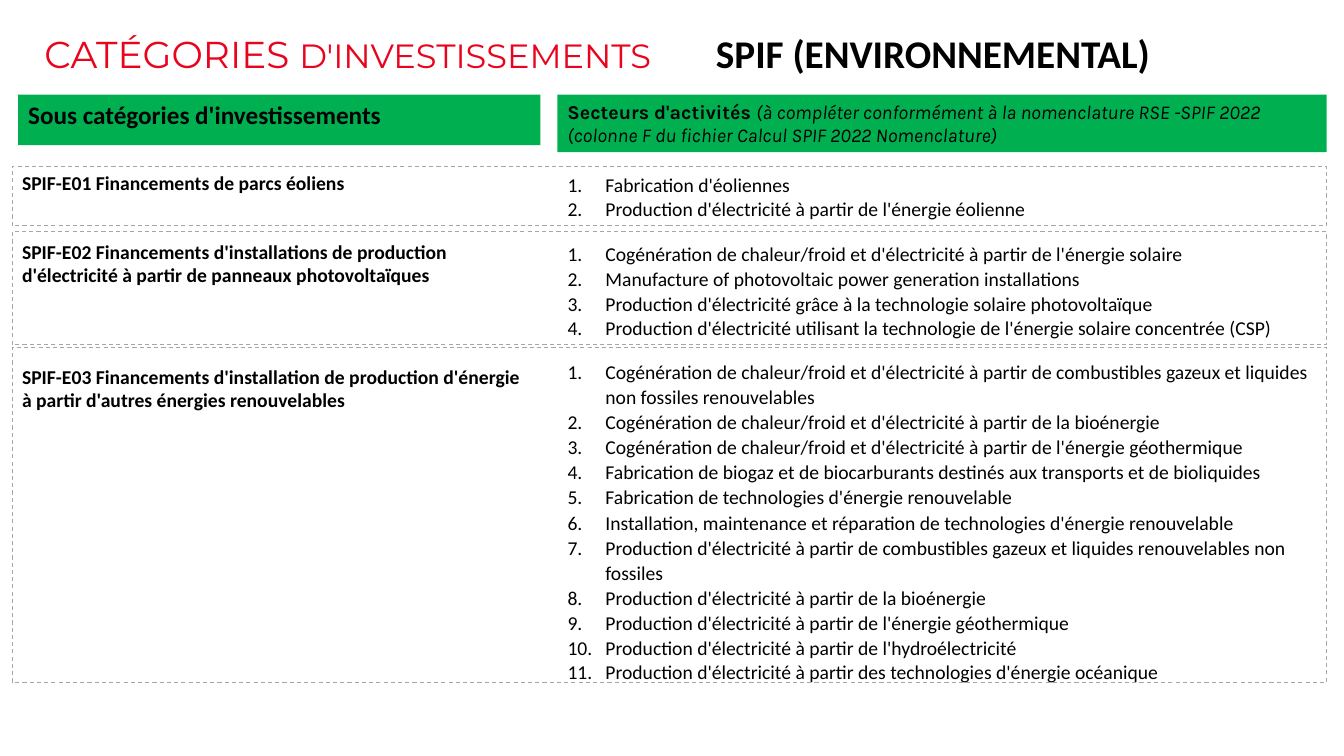
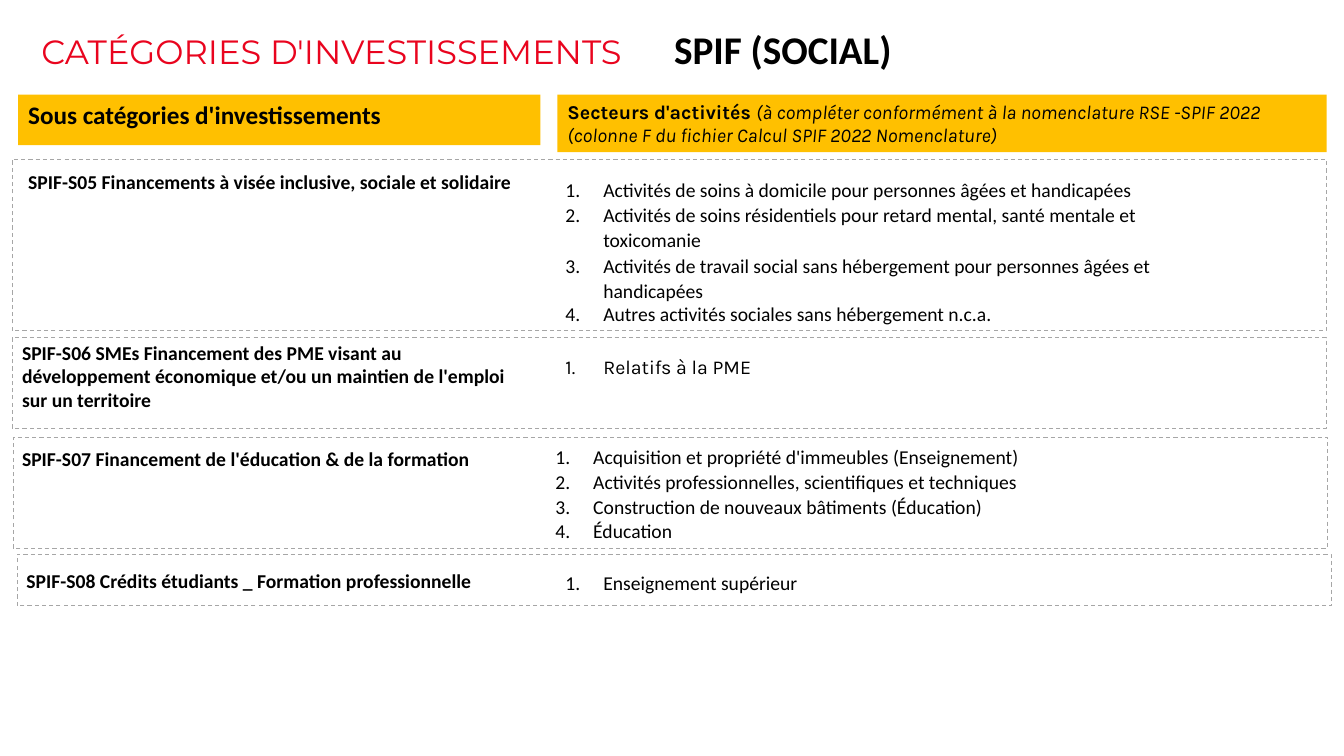
"""Build two slides listing SPIF investment categories with their sectors of activity."""
from dataclasses import dataclass

from lxml import etree
from pptx import Presentation
from pptx.dml.color import RGBColor
from pptx.enum import dml, shapes, text
from pptx.oxml import ns
from pptx.util import Pt


@dataclass(frozen=True)
class Theme:
    red: str = "E9041E"
    green: str = "00B050"
    amber: str = "FFC000"
    ink: str = "010101"
    black: str = "000000"
    rule: str = "A6A6A6"
    body_font: str = "Calibri"
    band_font: str = "Karla"
    title_font: str = "Montserrat"
    body: float = 14
    band: float = 18
    title: float = 24
    title_large: float = 26.7
    topic: float = 28
    indent: float = 27
    loose: float = 1.07


THEME = Theme()


def add_span(para, content, *, size=THEME.body, font=THEME.body_font,
             color=THEME.black, bold=False, italic=False):
    span = para.add_run()
    span.text = content
    span.font.size = Pt(size)
    span.font.name = font
    span.font.color.rgb = RGBColor.from_string(color)
    span.font.bold = bold
    span.font.italic = italic


def add_property(para, tag, **attributes):
    properties = para._p.get_or_add_pPr()
    return etree.SubElement(properties, ns.qn(tag), attributes)


class Page:
    left, width = 8.64, 939
    label_width = 373
    list_left, list_width = 398.2, 549.4

    def __init__(self, deck, accent):
        self.slide = deck.slides.add_slide(deck.slide_layouts.get_by_name("Comparison"))
        self.accent = accent
        self.bodies = [box for box in self.slide.placeholders
                       if box.placeholder_format.idx > 0]

    def place(self, box, left, top, width, height, anchor=text.MSO_ANCHOR.TOP):
        box.left, box.top, box.width, box.height = map(Pt, (left, top, width, height))
        frame = box.text_frame
        frame.word_wrap = True
        frame.auto_size = text.MSO_AUTO_SIZE.NONE
        frame.vertical_anchor = anchor
        return frame

    def title(self, left, top, parts, topic, tab):
        frame = self.place(self.slide.shapes.title, left, top, 897, 26.6,
                           text.MSO_ANCHOR.BOTTOM)
        frame.margin_left = frame.margin_right = 0
        frame.margin_top = frame.margin_bottom = 0
        para = frame.paragraphs[0]
        para.alignment = text.PP_ALIGN.LEFT
        para.line_spacing = 0.75
        stops = add_property(para, "a:tabLst")
        etree.SubElement(stops, ns.qn("a:tab"), pos=str(Pt(tab)), algn="l")
        for content, size in parts:
            add_span(para, content, size=size, font=THEME.title_font, color=THEME.red)
        add_span(para, "\t" + topic, size=THEME.topic, bold=True)

    def rectangle(self, left, top, width, height):
        box = self.slide.shapes.add_shape(
            shapes.MSO_SHAPE.RECTANGLE, *map(Pt, (left, top, width, height)))
        box.shadow.inherit = False
        return box

    def band(self, left, width, height):
        top = 67.7
        box = self.rectangle(left, top, width, height)
        box.fill.solid()
        box.fill.fore_color.rgb = RGBColor.from_string(self.accent)
        box.line.fill.background()
        para = self.place(box, left, top, width, height).paragraphs[0]
        para.alignment = text.PP_ALIGN.LEFT
        return para

    def header(self):
        add_span(self.band(13, self.label_width, 36), "Sous catégories d'investissements",
                 size=THEME.band, color=THEME.ink, bold=True)
        para = self.band(self.list_left, self.list_width, 41)
        add_span(para, "Secteurs d'activités ", font=THEME.band_font,
                 color=THEME.ink, bold=True)
        add_span(para, "(à compléter conformément à la nomenclature RSE -SPIF 2022 "
                 "(colonne F du fichier Calcul SPIF 2022 Nomenclature)",
                 font=THEME.band_font, color=THEME.ink, italic=True)

    def frame(self, left, top, height):
        box = self.rectangle(left, top, self.width, height)
        box.fill.background()
        box.line.color.rgb = RGBColor.from_string(THEME.rule)
        box.line.width = Pt(0.75)
        box.line.dash_style = dml.MSO_LINE.DASH

    def label(self, left, top, height, content):
        box = self.slide.shapes.add_textbox(0, 0, 0, 0)
        frame = self.place(box, left, top, self.label_width, height)
        add_span(frame.paragraphs[0], content, bold=True)

    def numbered_list(self, left, top, width, height, items, font):
        frame = self.place(self.bodies.pop(0), left, top, width, height)
        for number, item in enumerate(items, 1):
            para = frame.paragraphs[0] if number == 1 else frame.add_paragraph()
            para.line_spacing = 1.0 if number == len(items) else THEME.loose
            para.space_before = para.space_after = Pt(0)
            properties = para._p.get_or_add_pPr()
            properties.set("marL", str(Pt(THEME.indent)))
            properties.set("indent", str(-Pt(THEME.indent)))
            add_property(para, "a:buFont", typeface=font)
            add_property(para, "a:buAutoNum", type="arabicPeriod")
            add_span(para, item, font=font)

    def category(self, top, height, name, items, *, left=left, label_left=left,
                 label_top, list_top, list_left=list_left, list_width=list_width,
                 font=THEME.body_font):
        bottom = top + height
        self.frame(left, top, height)
        self.label(label_left, label_top, bottom - label_top, name)
        self.numbered_list(list_left, list_top, list_width, bottom - list_top, items, font)

    def finish(self):
        for box in self.bodies:
            box.element.getparent().remove(box.element)


def build_environment(deck):
    page = Page(deck, THEME.green)
    page.title(31.7, 27.4, [("CATÉGORIES ", THEME.title_large),
                            ("D'INVESTISSEMENTS", THEME.title)],
               "SPIF (ENVIRONNEMENTAL)", 479.7)
    page.header()
    page.category(118.8, 42.5, "SPIF-E01 Financements de parcs éoliens", [
        "Fabrication d'éoliennes",
        "Production d'électricité à partir de l'énergie éolienne",
    ], label_top=118.8, list_top=118.8)
    page.category(165.6, 80.6, "SPIF-E02 Financements d'installations de production "
                  "d'électricité à partir de panneaux photovoltaïques", [
        "Cogénération de chaleur/froid et d'électricité à partir de l'énergie solaire",
        "Manufacture of photovoltaic power generation installations",
        "Production d'électricité grâce à la technologie solaire photovoltaïque",
        "Production d'électricité utilisant la technologie de l'énergie solaire concentrée (CSP)",
    ], label_top=167.8, list_top=167.8)
    page.category(248.4, 239, "SPIF-E03 Financements d'installation de production d'énergie "
                  "à partir d'autres énergies renouvelables", [
        "Cogénération de chaleur/froid et d'électricité à partir de combustibles gazeux "
        "et liquides non fossiles renouvelables",
        "Cogénération de chaleur/froid et d'électricité à partir de la bioénergie",
        "Cogénération de chaleur/froid et d'électricité à partir de l'énergie géothermique",
        "Fabrication de biogaz et de biocarburants destinés aux transports et de bioliquides",
        "Fabrication de technologies d'énergie renouvelable",
        "Installation, maintenance et réparation de technologies d'énergie renouvelable",
        "Production d'électricité à partir de combustibles gazeux et liquides "
        "renouvelables non fossiles",
        "Production d'électricité à partir de la bioénergie",
        "Production d'électricité à partir de l'énergie géothermique",
        "Production d'électricité à partir de l'hydroélectricité",
        "Production d'électricité à partir des technologies d'énergie océanique",
    ], label_top=257, list_top=252)
    page.finish()


def build_social(deck):
    page = Page(deck, THEME.amber)
    page.title(29.5, 24.5, [("CATÉGORIES D'INVESTISSEMENTS", THEME.title)],
               "SPIF (SOCIAL)", 452)
    page.header()
    narrow = {"list_left": 396.7, "list_width": 480}
    page.category(113.8, 122.4, "SPIF-S05 Financements à visée inclusive, sociale et solidaire", [
        "Activités de soins à domicile pour personnes âgées et handicapées",
        "Activités de soins résidentiels pour retard mental, santé mentale et toxicomanie",
        "Activités de travail social sans hébergement pour personnes âgées et handicapées",
        "Autres activités sociales sans hébergement n.c.a.",
    ], label_left=13, label_top=118, list_top=122.4, **narrow)
    page.category(241.2, 64.8, "SPIF-S06 SMEs Financement des PME visant au développement "
                  "économique et/ou un maintien de l'emploi sur un territoire",
                  ["Relatifs à la PME"],
                  label_top=239.8, list_top=250, font=THEME.band_font, **narrow)
    page.category(312.5, 79.2, "SPIF-S07 Financement de l'éducation & de la formation", [
        "Acquisition et propriété d'immeubles (Enseignement)",
        "Activités professionnelles, scientifiques et techniques",
        "Construction de nouveaux bâtiments (Éducation)",
        "Éducation",
    ], left=9.4, label_top=316, list_top=312.8, list_left=389.5)
    page.category(396, 36.7, "SPIF-S08 Crédits étudiants _ Formation professionnelle",
                  ["Enseignement supérieur"],
                  left=12.2, label_left=11.8, label_top=402.5, list_top=404, **narrow)
    page.finish()


def main():
    deck = Presentation()
    deck.slide_width, deck.slide_height = Pt(960), Pt(540)
    build_environment(deck)
    build_social(deck)
    deck.save("out.pptx")


if __name__ == "__main__":
    main()
